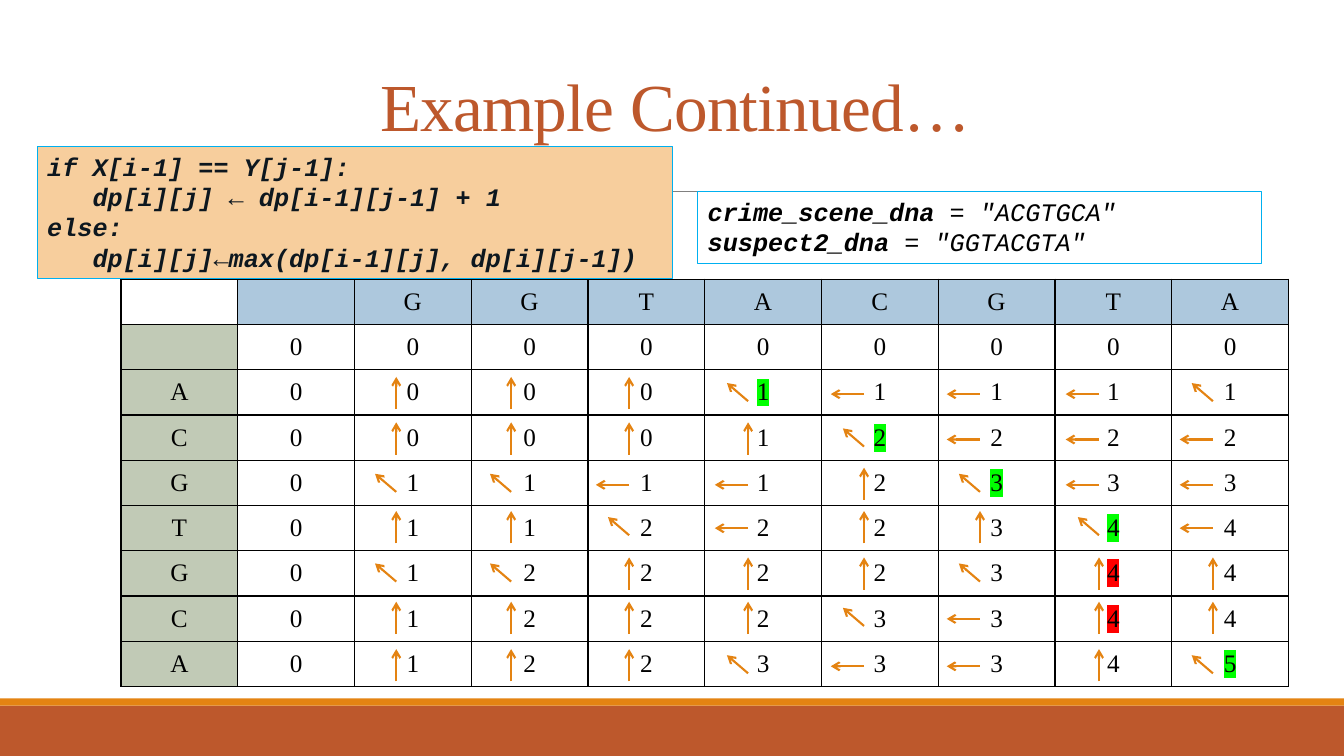
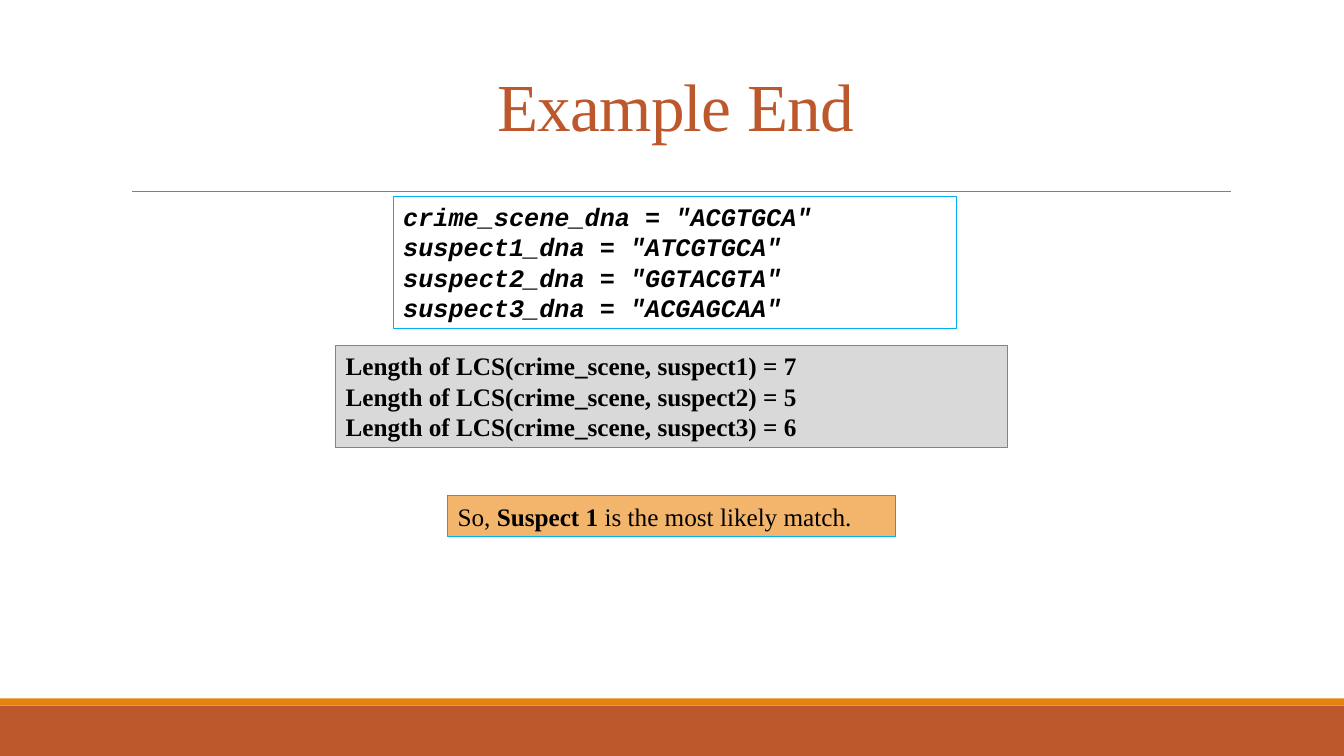
import pptx
import pptx.dml.color
import pptx.enum.shapes
import pptx.enum.text
import pptx.oxml
import pptx.oxml.ns
import pptx.util

PX = 9144  # EMU in one px, 100 px to the inch
WIDE, HIGH = 1333, 750
COLORS = {
    "rust": "BD582C", "orange": "E48312", "gray": "808080", "cyan": "00B0F0",
    "black": "000000", "navy": "0D171F", "peach": "F7CE9D", "silver": "D9D9D9",
    "amber": "F3B56C", "blue": "ADC8DD", "sage": "C1CAB6",
    "lime": "00FF00", "red": "FF0000",
}
SERIF = {"name": "Times New Roman", "size": pptx.util.Pt(18)}
CODE = {"name": "Courier New", "size": pptx.util.Pt(18), "italic": True}
TITLE = {"name": "Times New Roman", "size": pptx.util.Pt(48)}
ALIGN = pptx.enum.text.PP_ALIGN
MIDDLE = pptx.enum.text.MSO_ANCHOR.MIDDLE

SUSPECT = "GGTACGTA"
SCENE = "ACGTGCA"
SCORES = ["00011111", "00012222", "11112333", "11222344",
          "12222344", "12223344", "12233345"]
MOVES = ["UUUDLLLD", "UUUUDLLL", "DDLLUDLL", "UUDLUUDL",
         "DDUUUDUU", "UUUUDLUU", "UUUDLLUD"]
MARKS = {(2, 5): "lime", (3, 6): "lime", (4, 7): "lime", (5, 8): "lime",
         (6, 8): "red", (7, 8): "red", (8, 9): "lime"}
# Tail of each arrow: by column, by row, then shift and reach by move
TAIL_X = [393, 507, 624, 742, 857, 972, 1090, 1203]
TAIL_Y = [398, 443, 488, 531, 577, 621, 668]
STEPS = {"U": (8, 0, -32), "D": (0, -21, -18), "L": (-7, -33, 0)}


def emu(*sizes):
    return [size * PX for size in sizes]


def rgb(color):
    return pptx.dml.color.RGBColor.from_string(COLORS[color])


def node(xml):
    """Make an XML element in the drawing namespace."""
    tag, rest = xml.split(" ", 1)
    return pptx.oxml.parse_xml(f"<a:{tag} {pptx.oxml.ns.nsdecls('a')} {rest}")


def paint(fill, color):
    if color:
        fill.solid()
        fill.fore_color.rgb = rgb(color)
    else:
        fill.background()


def write(para, text, style, color="black", bold=False):
    run = para.add_run()
    run.text = text
    for key, value in style.items():
        setattr(run.font, key, value)
    run.font.bold = bold
    run.font.color.rgb = rgb(color)
    return run


def add_band(slide, top, height, color):
    rect = pptx.enum.shapes.MSO_SHAPE.RECTANGLE
    band = slide.shapes.add_shape(rect, *emu(0, top, WIDE, height))
    band.shadow.inherit = False
    paint(band.fill, color)
    band.line.fill.background()


def add_line(slide, ends, color, width, arrow=False):
    kind = pptx.enum.shapes.MSO_CONNECTOR.STRAIGHT
    link = slide.shapes.add_connector(kind, *emu(*ends))
    link.line.color.rgb = rgb(color)
    link.line.width = pptx.util.Pt(width)
    if arrow:
        link.line._get_or_add_ln().append(node('tailEnd type="arrow"/>'))
    link._element.spPr.append(node("effectLst />"))


def add_title(slide, text):
    box = slide.shapes.add_textbox(*emu(120, 31, 1100, 159))
    frame = box.text_frame
    frame.word_wrap = True
    frame.vertical_anchor = MIDDLE
    para = frame.paragraphs[0]
    para.alignment = ALIGN.CENTER
    para.line_spacing = 0.85
    run = write(para, text, TITLE, "rust")
    run.font._element.set("spc", "-50")


def add_box(slide, place, lines, style, fill=None, color="black",
            align=ALIGN.LEFT, indents=()):
    """Add a framed box; each line is a list of (text, bold) runs."""
    box = slide.shapes.add_textbox(*emu(*place))
    paint(box.fill, fill)
    box.line.color.rgb = rgb("cyan")
    box.line.width = pptx.util.Pt(0.75)
    frame = box.text_frame
    frame.word_wrap = True
    for index, line in enumerate(lines):
        para = frame.add_paragraph() if index else frame.paragraphs[0]
        para.alignment = align
        if index in indents:
            para._p.get_or_add_pPr().set("marL", str(45 * PX))
        for text, bold in line:
            write(para, text, style, color, bold)


def bold_lines(*texts):
    return [[(text, True)] for text in texts]


def fill_cell(cell, text, fill, mark):
    cell.vertical_anchor = MIDDLE
    paint(cell.fill, fill)
    for index, side in enumerate("LRTB"):
        edge = node(f'ln{side} w="12700"><a:solidFill><a:srgbClr '
                    f'val="{COLORS["black"]}"/></a:solidFill></a:ln{side}>')
        cell._tc.get_or_add_tcPr().insert(index, edge)
    para = cell.text_frame.paragraphs[0]
    para.alignment = ALIGN.CENTER
    if text:
        run = write(para, text, SERIF)
        if mark:
            glow = node(f'highlight ><a:srgbClr val="{COLORS[mark]}"/></a:highlight>')
            solid = run.font._element.find(pptx.oxml.ns.qn("a:solidFill"))
            solid.addnext(glow)


def add_grid(slide):
    rows = [["", "", *SUSPECT], ["", *"0" * (len(SUSPECT) + 1)]]
    rows += [[base, "0", *score] for base, score in zip(SCENE, SCORES)]
    place = emu(120, 277, 1158, 404)
    table = slide.shapes.add_table(len(rows), len(rows[0]), *place).table
    table.first_row = table.horz_banding = False
    for col in table.columns:
        col.width = place[2] // len(rows[0])
    for r, row in enumerate(rows):
        table.rows[r].height = place[3] // len(rows)
        for c, text in enumerate(row):
            fill = None
            if r == 0 and c > 0:
                fill = "blue"
            elif c == 0 and r > 0:
                fill = "sage"
            fill_cell(table.cell(r, c), text, fill, MARKS.get((r, c)))


def add_moves(slide):
    for y, moves in zip(TAIL_Y, MOVES):
        for x, move in zip(TAIL_X, moves):
            shift, dx, dy = STEPS[move]
            tail = y + shift
            add_line(slide, (x, tail, x + dx, tail + dy), "orange", 1.5, True)


def add_page(deck, title):
    """Add a slide with the shared bands, rule and title."""
    slide = deck.slides.add_slide(deck.slide_layouts[6])
    add_band(slide, 700, 50, "rust")
    add_band(slide, 693, 7, "orange")
    add_line(slide, (131, 190, 1221, 190), "gray", 0.5)
    add_title(slide, title)
    return slide


def draw_table(deck):
    slide = add_page(deck, "Example Continued…")
    add_box(slide, (692, 190, 559, 71), [
        [("crime_scene_dna ", True), ('= "ACGTGCA"', False)],
        [("suspect2_dna ", True), ('= "GGTACGTA"', False)],
    ], CODE, align=ALIGN.JUSTIFY)
    add_grid(slide)
    add_moves(slide)
    add_box(slide, (37, 145, 630, 131), bold_lines(
        "if X[i-1] == Y[j-1]:",
        "dp[i][j] ← dp[i-1][j-1] + 1",
        "else:",
        "dp[i][j]←max(dp[i-1][j], dp[i][j-1])",
    ), CODE, "peach", "navy", ALIGN.JUSTIFY, indents=(1, 3))


def draw_end(deck):
    slide = add_page(deck, "Example End")
    add_box(slide, (390, 195, 559, 131), bold_lines(
        'crime_scene_dna = "ACGTGCA"',
        'suspect1_dna = "ATCGTGCA"',
        'suspect2_dna = "GGTACGTA"',
        'suspect3_dna = "ACGAGCAA"',
    ), CODE, align=ALIGN.JUSTIFY)
    sums = [f"Length of LCS(crime_scene, suspect{n}) = {size}"
            for n, size in enumerate((7, 5, 6), 1)]
    add_box(slide, (333, 343, 666, 101), bold_lines(*sums), SERIF, "silver")
    add_box(slide, (444, 492, 444, 40), [
        [("So, ", False), ("Suspect 1", True),
         (" is the most likely match.", False)],
    ], SERIF, "amber")


def main():
    deck = pptx.Presentation()
    deck.slide_width, deck.slide_height = emu(WIDE, HIGH)
    draw_table(deck)
    draw_end(deck)
    deck.save("out.pptx")


if __name__ == "__main__":
    main()
